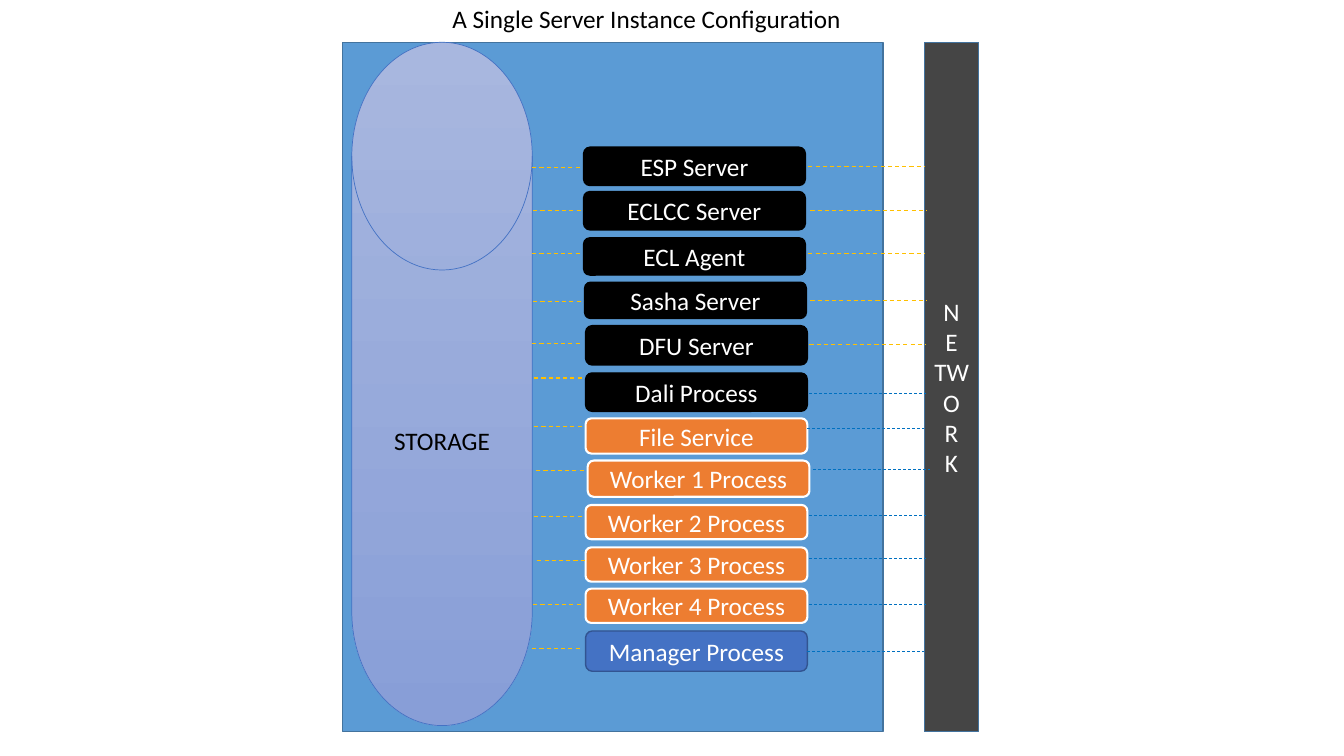
from lxml import etree
from pptx import Presentation
from pptx.dml.color import RGBColor
from pptx.enum.dml import MSO_LINE
from pptx.enum.shapes import MSO_CONNECTOR, MSO_SHAPE
from pptx.enum.text import MSO_ANCHOR, MSO_AUTO_SIZE, PP_ALIGN
from pptx.oxml.ns import qn
from pptx.util import Pt

RECT, ROUNDED = MSO_SHAPE.RECTANGLE, MSO_SHAPE.ROUNDED_RECTANGLE
DISK = MSO_SHAPE.FLOWCHART_MAGNETIC_DISK
STRAIGHT, DASH = MSO_CONNECTOR.STRAIGHT, MSO_LINE.DASH
MIDDLE, CENTER, LEFT = MSO_ANCHOR.MIDDLE, PP_ALIGN.CENTER, PP_ALIGN.LEFT
GROW = MSO_AUTO_SIZE.SHAPE_TO_FIT_TEXT

BLACK, WHITE, AMBER, BLUE = "000000", "FFFFFF", "FFC000", "0070C0"
SERVER = (BLACK, BLACK, 1)
WORKER = ("ED7D31", WHITE, 1.5)
MANAGER = ("4472C4", "325491", 1)
PROCESS_WIDTH, STORAGE_LINK, NETWORK_LINK = 158.4, 35, 83.5

# label, style, left, top, height, storage link start, network link start and colour
PROCESSES = [
    ("ESP Server", SERVER, 416.9, 105.1, 27.4, (380.2, 119.5), (577.4, 119.2), AMBER),
    ("ECLCC Server", SERVER, 416.9, 136.8, 27.4, (380.9, 150.5), (578.9, 150.2), AMBER),
    ("ECL Agent", SERVER, 416.9, 169.9, 26.6, (380.2, 181.4), (577.4, 181.1), AMBER),
    ("Sasha Server", SERVER, 417.6, 201.6, 25.9, (380.9, 215.3), (578.9, 215), AMBER),
    ("DFU Server", SERVER, 418.3, 232.6, 28.1, (380.2, 245.5), (578.2, 245.9), AMBER),
    ("Dali Process", SERVER, 418.3, 266.4, 27.4, (381.6, 270), (578.2, 280.8), BLUE),
    ("File Service", WORKER, 418.3, 298.8, 25.2, (381.6, 304.6), (576.7, 306), BLUE),
    ("Worker 1 Process", WORKER, 419.8, 329, 25.9, (383, 336.2), (581, 335.5), BLUE),
    ("Worker 2 Process", WORKER, 418.3, 360.7, 24.5, (381.6, 368.6), (578.2, 367.9), BLUE),
    ("Worker 3 Process", WORKER, 418.3, 391, 24.5, (383.8, 400.3), (578.2, 398.9), BLUE),
    ("Worker 4 Process", WORKER, 418.3, 420.5, 24.5, (380.9, 432), (578.2, 432), BLUE),
    ("Manager Process", MANAGER, 418.3, 450.7, 28.8, (380.2, 463.3), (576.7, 465.1), BLUE),
]


def color(hex_code):
    """Return the colour for a hex string."""
    return RGBColor.from_string(hex_code)


def write(frame, text, size=18, font="Calibri", fill=WHITE, align=CENTER):
    """Write text, one paragraph per line, in one format."""
    frame.text = text
    for paragraph in frame.paragraphs:
        paragraph.alignment = align
        paragraph.font.size = Pt(size)
        paragraph.font.name = font
        paragraph.font.color.rgb = color(fill)


def add_block(slide, kind, box, style, text="", **text_format):
    """Add a filled, outlined shape with optional centred text."""
    block = slide.shapes.add_shape(kind, *map(Pt, box))
    block.shadow.inherit = False
    fill, outline, weight = style
    block.fill.solid()
    block.fill.fore_color.rgb = color(fill)
    block.line.color.rgb = color(outline)
    block.line.width = Pt(weight)
    if text:
        block.text_frame.word_wrap = True
        block.text_frame.vertical_anchor = MIDDLE
        write(block.text_frame, text, **text_format)
    return block


def add_link(slide, start, length, stroke, weight):
    """Add a horizontal dashed link from a start point."""
    left, top = start
    link = slide.shapes.add_connector(STRAIGHT, Pt(left), Pt(top), Pt(left + length), Pt(top))
    link.line.color.rgb = color(stroke)
    link.line.width = Pt(weight)
    link.line.dash_style = DASH
    etree.SubElement(link._element.spPr, qn("a:effectLst"))


def add_title(slide, box):
    """Add the heading above the server."""
    title = slide.shapes.add_textbox(*map(Pt, box))
    title.text_frame.word_wrap = False
    title.text_frame.auto_size = GROW
    write(title.text_frame, "A Single Server Instance Configuration", fill=BLACK, align=LEFT)


def add_server(slide, box):
    """Add the server panel with the storage disk at its left."""
    left, top, width, height = box
    add_block(slide, RECT, box, ("5B9BD5", "43739E", 1))
    storage = add_block(slide, DISK, (left + 6.5, top, 128.9, height - 4.4),
                        ("A8B7DF", "4472C4", 0.5), "STORAGE", fill=BLACK)
    storage.fill.gradient()
    storage.fill.gradient_angle = 270
    for stop, shade in zip(storage.fill.gradient_stops, ("A8B7DF", "889ED7")):
        stop.color.rgb = color(shade)


def add_network(slide, box):
    """Add the network bar with its vertical label."""
    add_block(slide, RECT, box, ("454545", "43739E", 1), "N\nE\nTWO\nR\nK")


def add_processes(slide):
    """Add every process with its links to storage and network."""
    for label, style, left, top, height, storage, network, stroke in PROCESSES:
        add_block(slide, ROUNDED, (left, top, PROCESS_WIDTH, height), style, label)
        add_link(slide, storage, STORAGE_LINK, AMBER, 0.75)
        add_link(slide, network, NETWORK_LINK, stroke, 0.75 if stroke == AMBER else 0.5)


def main():
    """Build and save the slide."""
    deck = Presentation()
    deck.slide_width, deck.slide_height = Pt(960), Pt(540)
    slide = deck.slides.add_slide(deck.slide_layouts[6])
    add_server(slide, (244.8, 30.2, 385.9, 492.5))
    add_network(slide, (660.2, 30.2, 38.9, 492.5))
    add_title(slide, (316.1, -1.4, 295.2, 28.8))
    add_processes(slide)
    deck.save("out.pptx")


if __name__ == "__main__":
    main()
